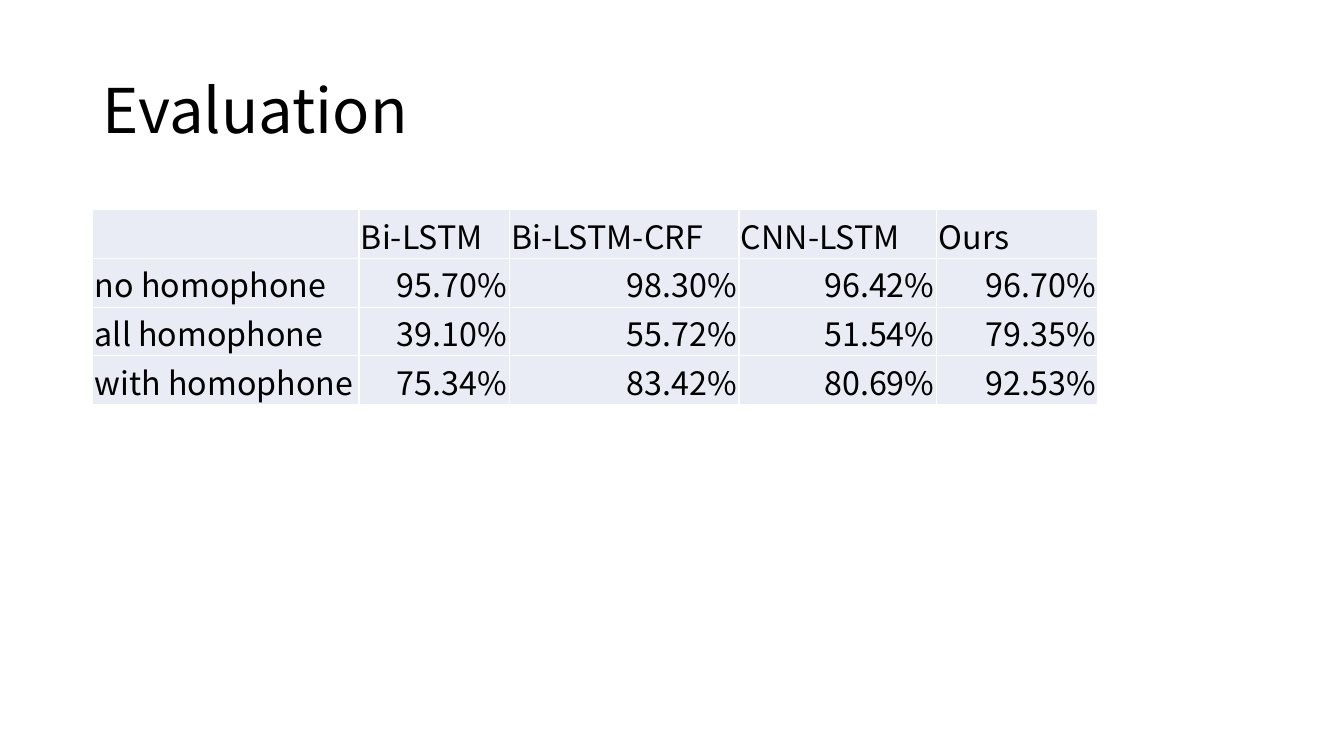
import dataclasses
import typing

import lxml.etree
import pptx
import pptx.dml.color
import pptx.enum.text
import pptx.oxml.ns
import pptx.util


@dataclasses.dataclass(frozen=True)
class Theme:
    font: str = "Noto Sans CJK SC"
    ink: str = "000000"
    cell_fill: str = "E9EBF5"
    border: str = "FFFFFF"
    border_width: float = 1
    title_size: float = 44
    table_size: float = 23


class Result(typing.NamedTuple):
    test_set: str
    accuracies: tuple[float, ...]


THEME = Theme()
ALIGN = pptx.enum.text.PP_ALIGN
MIDDLE = pptx.enum.text.MSO_ANCHOR.MIDDLE
WIDTH, HEIGHT = pptx.util.Inches(13.33), pptx.util.Inches(7.5)
LEFT_MARGIN = pptx.util.Inches(0.92)
TABLE_TOP = pptx.util.Inches(2.08)
ROW_HEIGHT = pptx.util.Inches(0.42)
CELL_INSET = pptx.util.Inches(0.02)
COLUMN_WIDTHS = [pptx.util.Inches(w) for w in (2.64, 1.49, 2.28, 1.96, 1.6)]

MODELS = ("Bi-LSTM", "Bi-LSTM-CRF", "CNN-LSTM", "Ours")
RESULTS = (
    Result("no homophone", (95.70, 98.30, 96.42, 96.70)),
    Result("all homophone", (39.10, 55.72, 51.54, 79.35)),
    Result("with homophone", (75.34, 83.42, 80.69, 92.53)),
)


def write(frame, text: str, *, size: float, align=ALIGN.LEFT, spacing: float = 1.0) -> None:
    paragraph = frame.paragraphs[0]
    paragraph.alignment = align
    paragraph.line_spacing = spacing
    paragraph.font.size = pptx.util.Pt(size)
    if not text:
        return
    run = paragraph.add_run()
    run.text = text
    run.font.name = THEME.font
    run.font.size = pptx.util.Pt(size)
    run.font.color.rgb = pptx.dml.color.RGBColor.from_string(THEME.ink)


def draw_borders(cell) -> None:
    qn = pptx.oxml.ns.qn
    properties = cell._tc.get_or_add_tcPr()
    for position, side in enumerate(("lnL", "lnR", "lnT", "lnB")):
        border = lxml.etree.Element(qn(f"a:{side}"), w=str(pptx.util.Pt(THEME.border_width)))
        fill = lxml.etree.SubElement(border, qn("a:solidFill"))
        lxml.etree.SubElement(fill, qn("a:srgbClr"), val=THEME.border)
        properties.insert(position, border)


def draw_cell(cell, text: str, align) -> None:
    cell.fill.solid()
    cell.fill.fore_color.rgb = pptx.dml.color.RGBColor.from_string(THEME.cell_fill)
    cell.margin_left = cell.margin_right = cell.margin_top = CELL_INSET
    cell.margin_bottom = 0
    cell.vertical_anchor = MIDDLE
    write(cell.text_frame, text, size=THEME.table_size, align=align)
    draw_borders(cell)


def draw_title(slide, text: str) -> None:
    title = slide.shapes.title
    title.left, title.top = LEFT_MARGIN, pptx.util.Inches(0.4)
    title.width, title.height = WIDTH - 2 * LEFT_MARGIN, pptx.util.Inches(1.45)
    title.text_frame.auto_size = pptx.enum.text.MSO_AUTO_SIZE.NONE
    title.text_frame.vertical_anchor = MIDDLE
    write(title.text_frame, text, size=THEME.title_size, spacing=0.9)


def draw_results(slide) -> None:
    rows = [("", *MODELS)]
    rows += [(r.test_set, *(f"{value:.2f}%" for value in r.accuracies)) for r in RESULTS]
    table = slide.shapes.add_table(
        len(rows), len(COLUMN_WIDTHS), LEFT_MARGIN, TABLE_TOP,
        sum(COLUMN_WIDTHS), ROW_HEIGHT * len(rows),
    ).table
    table.first_row = table.horz_banding = False
    for column, width in zip(table.columns, COLUMN_WIDTHS):
        column.width = width
    for row_index, row in enumerate(rows):
        table.rows[row_index].height = ROW_HEIGHT
        for column_index, text in enumerate(row):
            align = ALIGN.RIGHT if row_index and column_index else ALIGN.LEFT
            draw_cell(table.cell(row_index, column_index), text, align)


presentation = pptx.Presentation()
presentation.slide_width, presentation.slide_height = WIDTH, HEIGHT
evaluation = presentation.slides.add_slide(presentation.slide_layouts[5])
draw_title(evaluation, "Evaluation")
draw_results(evaluation)
presentation.save("out.pptx")
